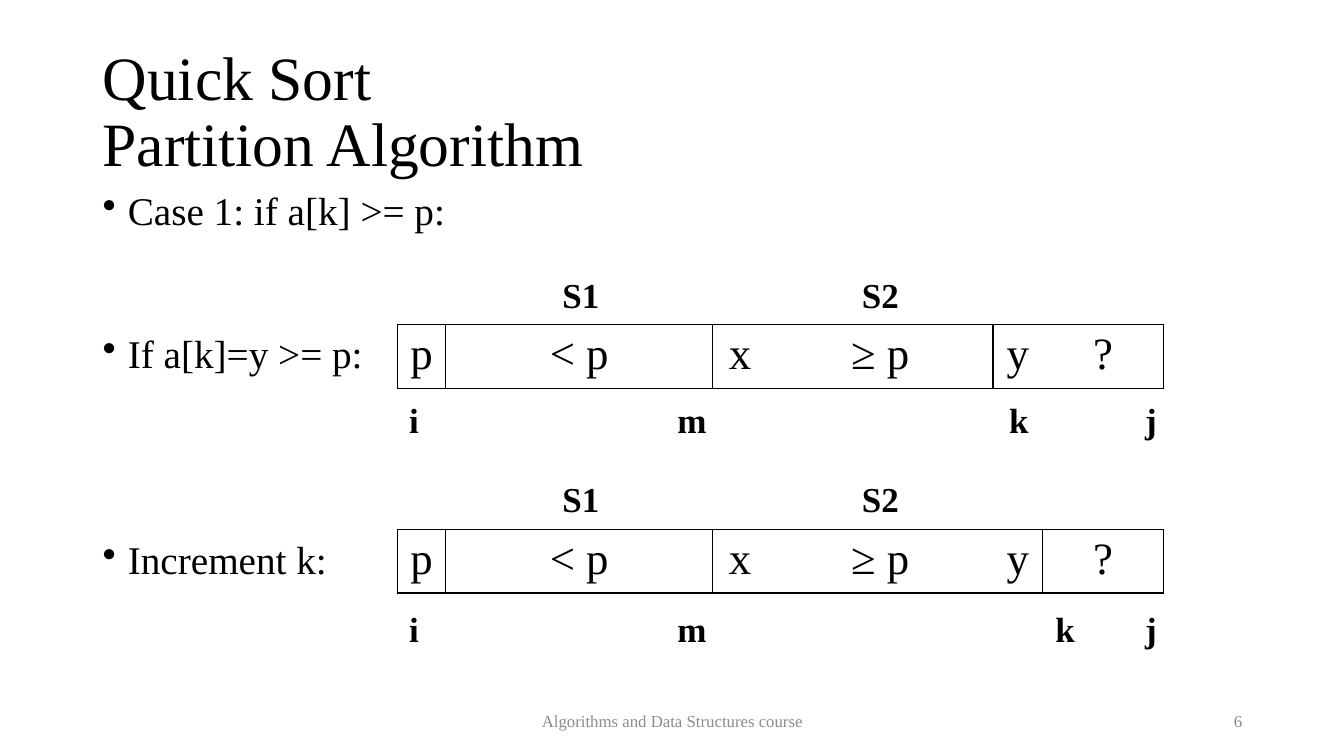
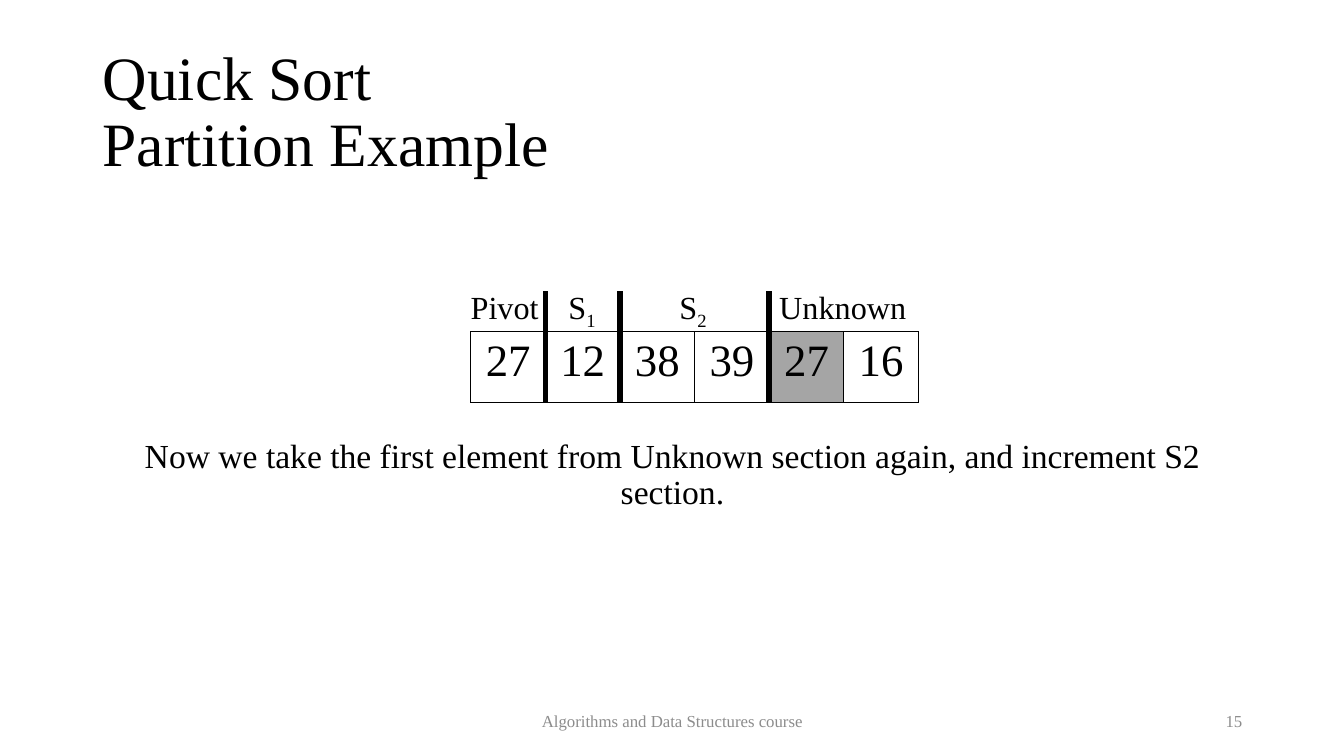
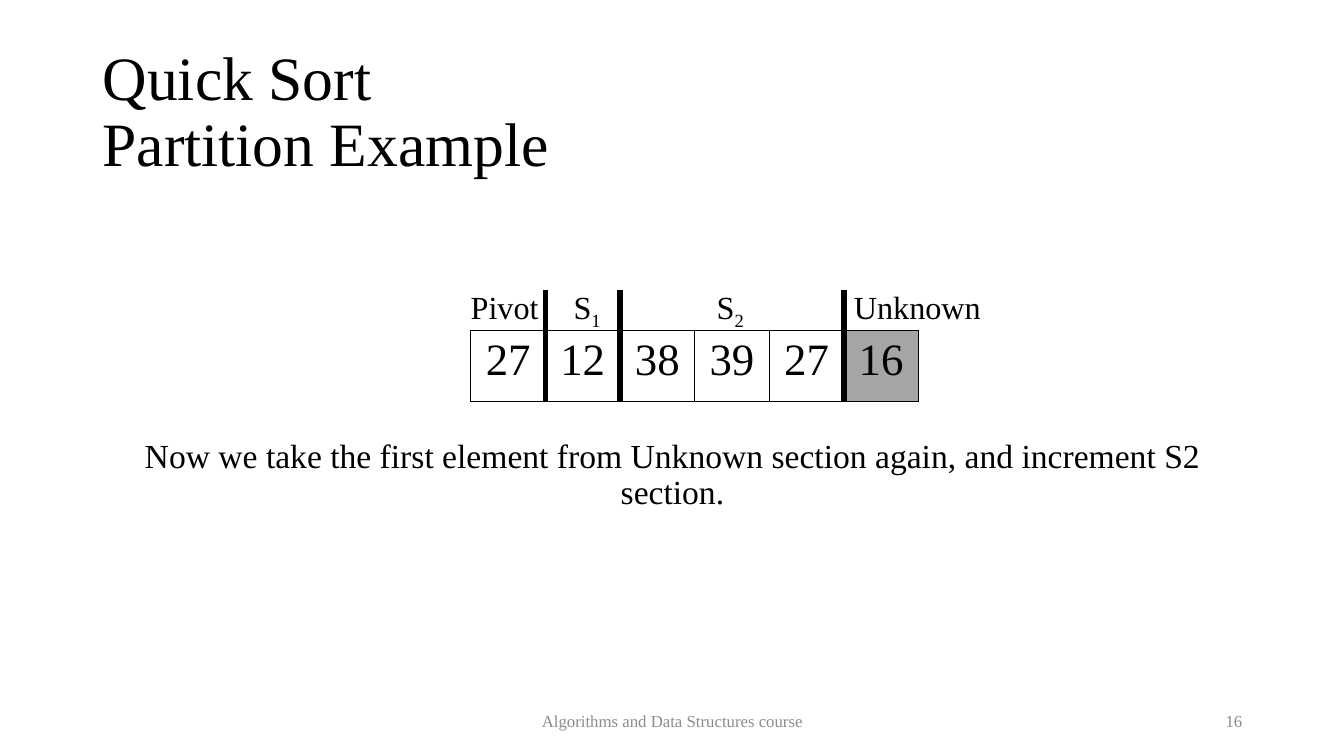
from dataclasses import dataclass
from itertools import accumulate

from lxml import etree
from pptx import Presentation
from pptx.dml.color import RGBColor
from pptx.enum.shapes import MSO_CONNECTOR
from pptx.enum.text import MSO_ANCHOR, PP_ALIGN
from pptx.oxml.ns import qn
from pptx.util import Pt

PX = 9144  # EMU, 100 px to the inch
LEFT, CENTER, RIGHT = PP_ALIGN.LEFT, PP_ALIGN.CENTER, PP_ALIGN.RIGHT
TOP, MIDDLE = MSO_ANCHOR.TOP, MSO_ANCHOR.MIDDLE
STRAIGHT = MSO_CONNECTOR.STRAIGHT


@dataclass(frozen=True)
class Theme:
    font: str = "Times New Roman"
    ink: str = "000000"
    muted: str = "8C8C8C"
    highlight: str = "A5A5A5"
    title: int = 44
    cell: int = 32
    bullet: int = 28
    marker: int = 25
    caption: int = 24
    section: int = 23
    footer: int = 12
    border: int = 1
    divider: int = 4


class Deck:
    def __init__(self, theme):
        self.theme = theme
        self.prs = Presentation()
        self.prs.slide_width, self.prs.slide_height = 1333 * PX, 750 * PX
        self.slide = None

    def new_slide(self, title_lines, number):
        self.slide = self.prs.slides.add_slide(self.prs.slide_layouts[6])
        theme = self.theme
        self.text(92, 40, 1150, 145, title_lines, theme.title, anchor=MIDDLE, spacing=0.9)
        self.text(442, 695, 450, 40, ["Algorithms and Data Structures course"],
                  theme.footer, color=theme.muted, align=CENTER, anchor=MIDDLE)
        self.text(942, 695, 300, 40, [str(number)],
                  theme.footer, color=theme.muted, align=RIGHT, anchor=MIDDLE)

    def style(self, paragraph, size, color, bold=False, align=LEFT):
        paragraph.alignment = align
        for run in paragraph.runs:
            font = run.font
            font.name, font.size, font.bold = self.theme.font, Pt(size), bold
            font.color.rgb = RGBColor.from_string(color)

    def text(self, x, y, w, h, lines, size, color=None, bold=False,
             align=LEFT, anchor=TOP, spacing=None, bullet=False, subscript=""):
        frame = self.slide.shapes.add_textbox(x * PX, y * PX, w * PX, h * PX).text_frame
        frame.word_wrap = True
        frame.vertical_anchor = anchor
        frame.text = "\n".join(lines)
        for paragraph in frame.paragraphs:
            if bullet:
                self.add_bullet(paragraph)
            if subscript:
                run = paragraph.add_run()
                run.text = subscript
                run._r.get_or_add_rPr().set("baseline", "-25000")
            if spacing:
                paragraph.line_spacing = spacing
            self.style(paragraph, size, color or self.theme.ink, bold, align)

    def add_bullet(self, paragraph):
        props = paragraph._p.get_or_add_pPr()
        props.set("marL", str(25 * PX))
        props.set("indent", str(-25 * PX))
        color = etree.SubElement(props, qn("a:buClr"))
        etree.SubElement(color, qn("a:srgbClr"), val=self.theme.ink)
        etree.SubElement(props, qn("a:buChar"), char="•")

    def array(self, x, y, h, values, widths, open_edges=(), highlighted=None):
        """Draw a one-row table; open_edges are the column edges without a line."""
        table = self.slide.shapes.add_table(
            1, len(values), x * PX, y * PX, sum(widths) * PX, h * PX).table
        table.first_row = table.horz_banding = False
        for i, (value, width) in enumerate(zip(values, widths)):
            table.columns[i].width = width * PX
            cell = table.cell(0, i)
            cell.text_frame.text = value
            self.style(cell.text_frame.paragraphs[0], self.theme.cell,
                       self.theme.ink, align=CENTER)
            if i == highlighted:
                cell.fill.solid()
                cell.fill.fore_color.rgb = RGBColor.from_string(self.theme.highlight)
            else:
                cell.fill.background()
            self.add_borders(cell, i not in open_edges, i + 1 not in open_edges)

    def add_borders(self, cell, left, right):
        props = cell._tc.get_or_add_tcPr()
        sides = {"L": left, "R": right, "T": True, "B": True}
        for position, (side, shown) in enumerate(sides.items()):
            line = etree.Element(qn(f"a:ln{side}"), w=str(Pt(self.theme.border)))
            if shown:
                fill = etree.SubElement(line, qn("a:solidFill"))
                etree.SubElement(fill, qn("a:srgbClr"), val=self.theme.ink)
            else:
                etree.SubElement(line, qn("a:noFill"))
            props.insert(position, line)

    def divider(self, x, top, bottom):
        line = self.slide.shapes.add_connector(STRAIGHT, x * PX, bottom * PX, x * PX, top * PX)
        line.line.width = Pt(self.theme.divider)
        line.line.color.rgb = RGBColor.from_string(self.theme.ink)
        etree.SubElement(line._element.spPr, qn("a:effectLst"))


def add_partition_state(deck, top, marker_top, k_left, open_edges):
    """Draw the array with its S1 and S2 headings and its index markers."""
    deck.array(394, top, 60, ["p", "< p", "x", "≥ p", "y", "?"],
               [48, 265, 54, 224, 49, 120], open_edges)
    marks = [("S1", 548, top - 56, 76), ("S2", 845, top - 56, 76)]
    marks += [(name, left, marker_top, 45)
              for name, left in (("i", 396), ("m", 662), ("k", k_left), ("j", 1126))]
    for name, left, y, width in marks:
        deck.text(left, y, width, 52, [name], deck.theme.marker, bold=True)


def add_algorithm_slide(deck):
    deck.new_slide(["Quick Sort", "Partition Algorithm"], 6)
    for step, y, width in (("Case 1: if a[k] >= p:", 185, 365),
                           ("If a[k]=y >= p:", 327, 494),
                           ("Increment k:", 531, 245)):
        deck.text(92, y, width, 63, [step], deck.theme.bullet, spacing=0.9, bullet=True)
    add_partition_state(deck, 322, 390, 991, open_edges=(3, 5))
    add_partition_state(deck, 525, 598, 1037, open_edges=(3, 4))


def add_example_slide(deck, number, top, unknown_start, s1_left, s2_left):
    """Show the array when the unknown section begins at index unknown_start."""
    deck.new_slide(["Quick Sort", "Partition Example"], number)
    left, height = 467, 70
    values = ["27", "12", "38", "39", "27", "16"]
    widths = [74] * len(values)
    edges = list(accumulate(widths, initial=left))
    deck.array(left, top, height, values, widths, highlighted=unknown_start)
    for start in (1, 2, unknown_start):
        deck.divider(edges[start], top - 40, top + height)
    for name, subscript, x, width in (("Pivot", "", 457, 110),
                                      ("S", "1", s1_left, 64),
                                      ("S", "2", s2_left, 64),
                                      ("Unknown", "", edges[unknown_start], 204)):
        deck.text(x, 280, width, 50, [name], deck.theme.section, subscript=subscript)
    deck.text(92, 431, 1150, 256,
              ["Now we take the first element from Unknown section again, "
               "and increment S2 section."],
              deck.theme.caption, align=CENTER, spacing=0.9)


def main():
    deck = Deck(Theme())
    add_algorithm_slide(deck)
    add_example_slide(deck, 15, 329, unknown_start=4, s1_left=554, s2_left=664)
    add_example_slide(deck, 16, 328, unknown_start=5, s1_left=559, s2_left=701)
    deck.prs.save("out.pptx")


if __name__ == "__main__":
    main()
